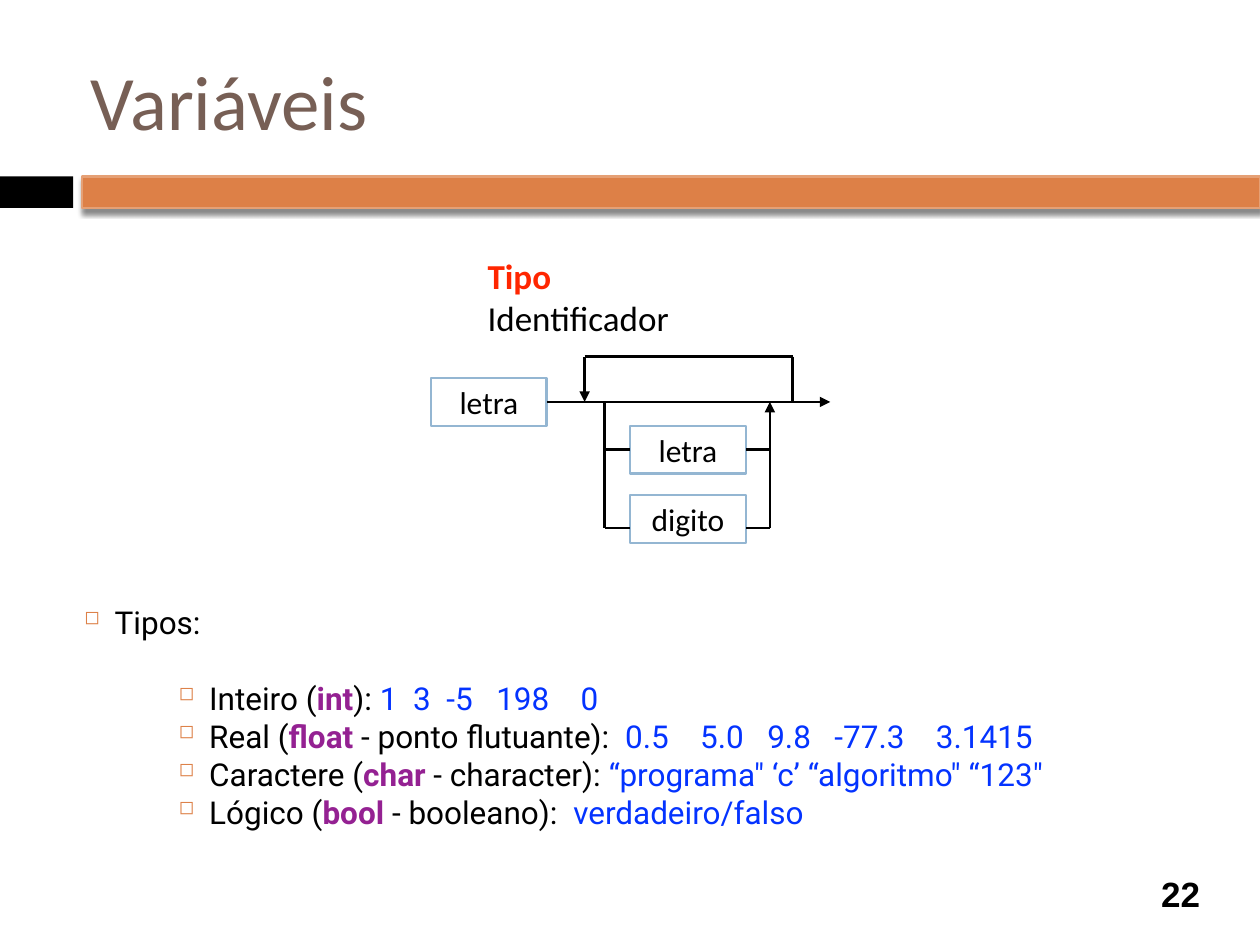
from lxml.etree import SubElement
from pptx import Presentation
from pptx.dml.color import RGBColor
from pptx.enum.shapes import MSO_CONNECTOR as CONNECTOR, MSO_SHAPE as SHAPE
from pptx.enum.text import MSO_ANCHOR as ANCHOR, MSO_AUTO_SIZE as AUTO_SIZE, PP_ALIGN as ALIGN
from pptx.oxml.ns import qn
from pptx.util import Inches, Pt

COLORS = {
    "black": "000000", "white": "FFFFFF", "orange": "DD8047", "light orange": "E5A075",
    "brown": "775F55", "red": "FF2600", "purple": "942192", "blue": "0433FF",
    "box border": "94B6D2",
}
COLORS = {name: RGBColor.from_string(value) for name, value in COLORS.items()}


def add_run(paragraph, text, font_name, size, color="black", bold=False):
    run = paragraph.add_run()
    run.text = text
    for name, value in {"name": font_name, "size": Pt(size), "bold": bold}.items():
        setattr(run.font, name, value)
    run.font.color.rgb = COLORS[color]
    return run


def set_frame(shape, anchor=ANCHOR.MIDDLE, wrap=True, align=ALIGN.LEFT):
    frame = shape.text_frame
    margins = {f"margin_{side}": Inches(0.05) for side in ("left", "top", "right", "bottom")}
    for name, value in {**margins, "vertical_anchor": anchor, "word_wrap": wrap}.items():
        setattr(frame, name, value)
    frame.paragraphs[0].alignment = align
    return frame


presentation = Presentation()
presentation.slide_width, presentation.slide_height = Inches(10), Inches(7.5)
slide = presentation.slides.add_slide(presentation.slide_layouts[6])
shapes = slide.shapes

# Header band
for left, width, fill, border in [(0, 0.58, "black", None),
                                  (0.65, 9.35, "orange", "light orange")]:
    band = shapes.add_shape(SHAPE.RECTANGLE, Inches(left), Inches(1.4), Inches(width), Inches(0.25))
    band.shadow.inherit = False
    band.fill.solid()
    band.fill.fore_color.rgb = COLORS[fill]
    if border:
        band.line.color.rgb = COLORS[border]
        band.line.width = Pt(1.5)
    else:
        band.line.fill.background()

# Soft shadow under the orange band
effects = band._element.spPr.find(qn("a:effectLst"))
shadow = SubElement(effects, qn("a:outerShdw"), blurRad=str(Pt(3)), dist=str(Pt(2.4)),
                    dir="5400000", rotWithShape="0")
shadow_color = SubElement(shadow, qn("a:srgbClr"), val=str(COLORS["black"]))
SubElement(shadow_color, qn("a:alpha"), val="45000")

# Title and slide number
title = shapes.add_textbox(Inches(0.67), Inches(0.25), Inches(8.92), Inches(1.08))
add_run(set_frame(title).paragraphs[0], "Variáveis", "Calibri", 44, "brown")
number = shapes.add_textbox(Inches(9.08), Inches(6.89), Inches(0.58), Inches(0.41))
add_run(set_frame(number, align=ALIGN.CENTER).paragraphs[0], "22", "Arial", 20, bold=True)

# Diagram heading
heading = shapes.add_textbox(Inches(3.82), Inches(1.97), Inches(2.1), Inches(0.41))
frame = set_frame(heading, ANCHOR.TOP, wrap=False)
frame.auto_size = AUTO_SIZE.SHAPE_TO_FIT_TEXT
paragraph = frame.paragraphs[0]
add_run(paragraph, "Tipo", "Calibri", 20, "red", True)
paragraph.add_line_break()
add_run(paragraph, "Identificador", "Calibri", 20)

# Types list: label, keyword, rest, then each value with its gap in space widths
SPACE_WIDTH = 4.46  # points, for the list font at its size
types = [
    ("Inteiro (", "int", "):", [(1, "1"), (2, "3"), (2, "-5"), (3, "198"), (4, "0")]),
    ("Real (", "float", " - ponto flutuante):",
     [(2, "0.5"), (4, "5.0"), (3, "9.8"), (3, "-77.3"), (4, "3.1415")]),
    ("Caractere (", "char", " - character):", [(1, "“programa\" ‘c’ “algoritmo\" “123\"")]),
    ("Lógico (", "bool", " - booleano):", [(2, "verdadeiro/falso")]),
]
body = shapes.add_textbox(Inches(0.62), Inches(4.51), Inches(8.49), Inches(2.47))
frame = set_frame(body)
add_run(frame.paragraphs[0], "Tipos:", "Roboto", 18)
for label, keyword, rest, values in types:
    paragraph = frame.add_paragraph()
    paragraph.level = 2
    add_run(paragraph, label, "Roboto", 18)
    add_run(paragraph, keyword, "Roboto", 18, "purple", True)
    add_run(paragraph, rest, "Roboto", 18)
    for gap, value in values:
        space = add_run(paragraph, " ", "Roboto", 18)
        space.font._element.set("spc", str(round((gap - 1) * SPACE_WIDTH * 100)))
        add_run(paragraph, value, "Roboto", 18, "blue")

for index, paragraph in enumerate(frame.paragraphs):
    properties = paragraph._p.get_or_add_pPr()
    properties.set("marL", str(Inches(0.99 if index else 0.24)))
    properties.set("indent", str(Inches(-0.24)))
    bullet_color = SubElement(properties, qn("a:buClr"))
    SubElement(bullet_color, qn("a:srgbClr"), val=str(COLORS["orange"]))
    SubElement(properties, qn("a:buSzPct"), val="60000")
    SubElement(properties, qn("a:buChar"), char="◻")
    paragraph.line_spacing = 0.5
    if index:
        paragraph.space_before = Pt(32.5 if index == 1 else 11)

# Syntax diagram boxes
boxes = []
for left, top, text in [(3.42, 3, "letra"), (5, 3.38, "letra"), (5, 3.93, "digito")]:
    box = shapes.add_shape(SHAPE.RECTANGLE, Inches(left), Inches(top), Inches(0.92), Inches(0.38))
    box.shadow.inherit = False
    box.fill.solid()
    box.fill.fore_color.rgb = COLORS["white"]
    box.line.color.rgb = COLORS["box border"]
    box.line.width = Pt(1.5)
    add_run(set_frame(box, align=ALIGN.CENTER).paragraphs[0], text, "Calibri", 18)
    boxes.append(box)
first_letter, next_letter, digit = boxes

# Syntax diagram lines: start, end, arrow at the end, joined box and its side
AXIS, LOOP, LETTER, DIGIT = 3.19, 2.83, 3.57, 4.19
lines = [
    ((4.34, AXIS), (6.59, AXIS), True, first_letter, 3),
    ((4.64, LOOP), (4.64, AXIS), True, None, None),
    ((6.29, LOOP), (6.29, AXIS), False, None, None),
    ((4.64, LOOP), (6.29, LOOP), False, None, None),
    ((4.8, AXIS), (4.8, DIGIT), False, None, None),
    ((6.11, DIGIT), (6.11, AXIS), True, None, None),
    ((5, LETTER), (4.8, LETTER), False, next_letter, 1),
    ((5.92, LETTER), (6.11, LETTER), False, next_letter, 3),
    ((5, DIGIT), (4.8, DIGIT), False, None, None),
    ((5.92, DIGIT), (6.11, DIGIT), False, None, None),
]
for start, end, arrow, box, side in lines:
    points = [Inches(value) for value in start + end]
    connector = shapes.add_connector(CONNECTOR.STRAIGHT, *points)
    connector.line.color.rgb = COLORS["black"]
    connector.line.width = Pt(1.5)
    if arrow:
        SubElement(connector.line._get_or_add_ln(), qn("a:tailEnd"), type="triangle")
    SubElement(connector._element.spPr, qn("a:effectLst"))
    if box is not None:
        connector.begin_connect(box, side)

presentation.save("out.pptx")
